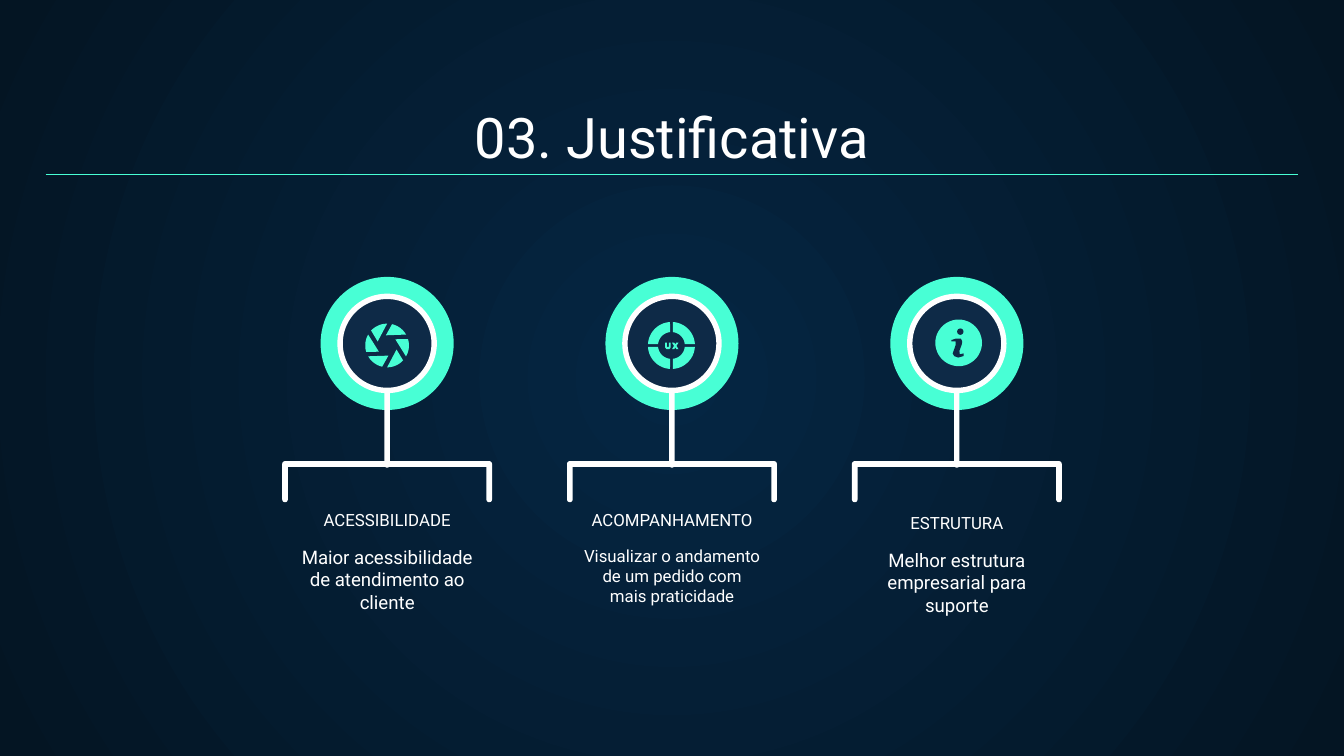
"""Build the 'Justificativa' slide: three ringed icons with brackets and captions."""
from math import cos, radians, sin

from lxml import etree
from pptx import Presentation
from pptx.dml.color import RGBColor
from pptx.enum.shapes import MSO_CONNECTOR, MSO_SHAPE
from pptx.enum.text import MSO_ANCHOR, MSO_AUTO_SIZE, PP_ALIGN
from pptx.oxml import parse_xml
from pptx.oxml.ns import nsdecls, qn
from pptx.util import Pt

OVAL, ROUNDED = MSO_SHAPE.OVAL, MSO_SHAPE.ROUNDED_RECTANGLE
STRAIGHT = MSO_CONNECTOR.STRAIGHT
TOP, BOTTOM = MSO_ANCHOR.TOP, MSO_ANCHOR.BOTTOM
CENTER, NO_AUTOFIT = PP_ALIGN.CENTER, MSO_AUTO_SIZE.NONE
MINT, NAVY, WHITE = "48FFD5", "0E2A47", "FFFFFF"
MIDDLE, PITCH, RING_Y = 360, 152.6, 184


def paint(fmt, color):
    """Give a fill or a font one solid colour."""
    if hasattr(fmt, "solid"):
        fmt.solid()
        fmt.fore_color.rgb = RGBColor.from_string(color)
    else:
        fmt.color.rgb = RGBColor.from_string(color)


def arc(cx, cy, r, start, end, steps=16):
    """Return points along a circular arc, angles in degrees."""
    angles = [radians(start + (end - start) * k / steps) for k in range(steps + 1)]
    return [(cx + r * cos(a), cy + r * sin(a)) for a in angles]


prs = Presentation()
prs.slide_width, prs.slide_height = Pt(720), Pt(405)
s = prs.slides.add_slide(prs.slide_layouts[5])
s.element.cSld.insert(0, parse_xml(
    f'<p:bg {nsdecls("p", "a")}><p:bgPr><a:gradFill rotWithShape="1"><a:gsLst>'
    '<a:gs pos="0"><a:srgbClr val="052643"/></a:gs>'
    '<a:gs pos="100000"><a:srgbClr val="041523"/></a:gs></a:gsLst>'
    '<a:path path="circle"><a:fillToRect l="50000" t="50000" r="50000" b="50000"/></a:path>'
    '</a:gradFill><a:effectLst/></p:bgPr></p:bg>'))

title = s.shapes.title
title.left, title.top, title.width, title.height = Pt(24.5), Pt(50.4), Pt(671), Pt(47.5)
texts = [(title, "03. Justificativa", 30, BOTTOM)]

columns = [
    ("ACESSIBILIDADE", "Maior acessibilidade de atendimento ao cliente", 10, 0),
    ("ACOMPANHAMENTO", "Visualizar o andamento de um pedido com mais praticidade", 9, 0),
    ("ESTRUTURA", "Melhor estrutura empresarial para suporte", 10, 1.6),
]
bracket = (arc(-54.7, 248.6, 1.5, 270, 180) + arc(-54.7, 267.6, 1.5, 180, 0)
           + [(-53.2, 250.2), (53.2, 250.2)]
           + arc(54.7, 267.6, 1.5, 180, 0) + arc(54.7, 248.6, 1.5, 0, -90))
outlines = []
for i, (heading, body, size, drop) in enumerate(columns):
    x = MIDDLE + (i - 1) * PITCH
    for kind, color, left, top, w, h in [
        (OVAL, MINT, x - 35.65, RING_Y - 35.65, 71.3, 71.3),
        (ROUNDED, WHITE, x - 1.45, 178.6, 2.9, 72),
        (OVAL, NAVY, x - 25.2, RING_Y - 25.2, 50.4, 50.4),
    ]:
        sp = s.shapes.add_shape(kind, Pt(left), Pt(top), Pt(w), Pt(h))
        sp.shadow.inherit = False
        paint(sp.fill, color)
        sp.line.fill.background()
        if kind == ROUNDED:
            sp.adjustments[0] = 0.5
    paint(sp.line.fill, WHITE)
    sp.line.width = Pt(2.9)
    outlines.append((x, 0, WHITE, bracket))
    sp = s.shapes.add_textbox(Pt(x - 81.7), Pt(275.8 + drop), Pt(163.4), Pt(15.1))
    texts.append((sp, heading, 9, BOTTOM))
    sp = s.shapes.add_textbox(Pt(x - 54.7), Pt(285.1 + drop), Pt(109.4), Pt(39.6))
    texts.append((sp, body, size, TOP))

for turn in range(0, 360, 60):
    blade = arc(0, 1.1, 11.7, turn - 90, turn - 137) + arc(0, 1.1, 5.5, turn - 157, turn - 157, 1)
    outlines.append((MIDDLE - PITCH, RING_Y, MINT, blade))

for turn in range(0, 360, 90):
    quarter = arc(-0.3, 1.1, 12.6, turn + 3.5, turn + 86.5) + arc(-0.3, 1.1, 7.2, turn + 84, turn + 6)
    outlines.append((MIDDLE, RING_Y, MINT, quarter))
letter_u = [(-3.6, -0.4), (-2.7, -0.4), (-2.7, 1.8), (-1.6, 1.8), (-1.6, -0.4),
            (-0.7, -0.4), (-0.7, 2.2), (-1.4, 3.1), (-2.9, 3.1), (-3.6, 2.2)]
letter_x = [(0, -0.4), (1.2, -0.4), (1.8, 0.5), (2.3, -0.4), (3.5, -0.4), (2.4, 1.3),
            (3.5, 3.1), (2.3, 3.1), (1.8, 2.1), (1.2, 3.1), (0, 3.1), (1.1, 1.3)]
letter_i = [(-2.9, -1.8), (-0.7, -2.5), (2.2, -2.5), (2.9, -1.1), (2.7, 0.4),
            (1.4, 4), (1.6, 5.8), (3.6, 5.4), (3.6, 6.8), (0.7, 7.6),
            (-1.4, 6.8), (-2.2, 5.4), (-0.7, 1.1), (-0.7, -1.1), (-2.9, -1.1)]
outlines += [
    (MIDDLE, RING_Y, MINT, letter_u),
    (MIDDLE, RING_Y, MINT, letter_x),
    (MIDDLE + PITCH, RING_Y, MINT, arc(1, -0.3, 12.5, 0, 360, 48)),
    (MIDDLE + PITCH, RING_Y, NAVY, arc(1.9, -6.3, 1.7, 0, 360)),
    (MIDDLE + PITCH, RING_Y, NAVY, letter_i),
]
for x, y, color, points in outlines:
    corners = [(Pt(x + dx), Pt(y + dy)) for dx, dy in points]
    builder = s.shapes.build_freeform(*corners[0])
    builder.add_line_segments(corners[1:], close=True)
    sp = builder.convert_to_shape()
    sp.shadow.inherit = False
    paint(sp.fill, color)
    sp.line.fill.background()

for sp, text, size, anchor in texts:
    tf = sp.text_frame
    tf.word_wrap, tf.auto_size, tf.vertical_anchor = True, NO_AUTOFIT, anchor
    tf.margin_left = tf.margin_right = tf.margin_top = tf.margin_bottom = Pt(7.2)
    p = tf.paragraphs[0]
    p.alignment = CENTER
    r = p.add_run()
    r.text = text
    r.font.name, r.font.size = "Roboto", Pt(size)
    paint(r.font, WHITE)

rule = s.shapes.add_connector(STRAIGHT, Pt(24.5), Pt(93.6), Pt(695.5), Pt(93.6))
paint(rule.line.fill, MINT)
rule.line.width = Pt(0.75)
etree.SubElement(rule.element.spPr, qn("a:effectLst"))

prs.save("out.pptx")
